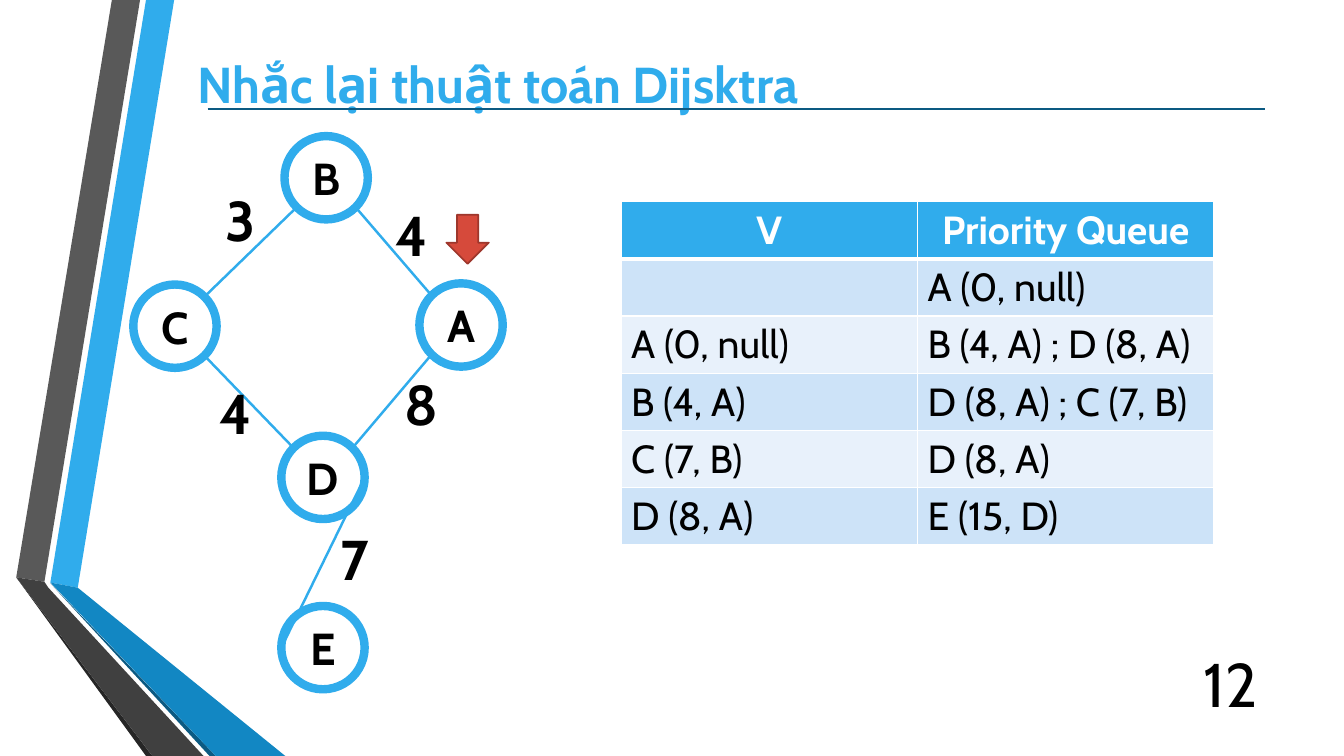
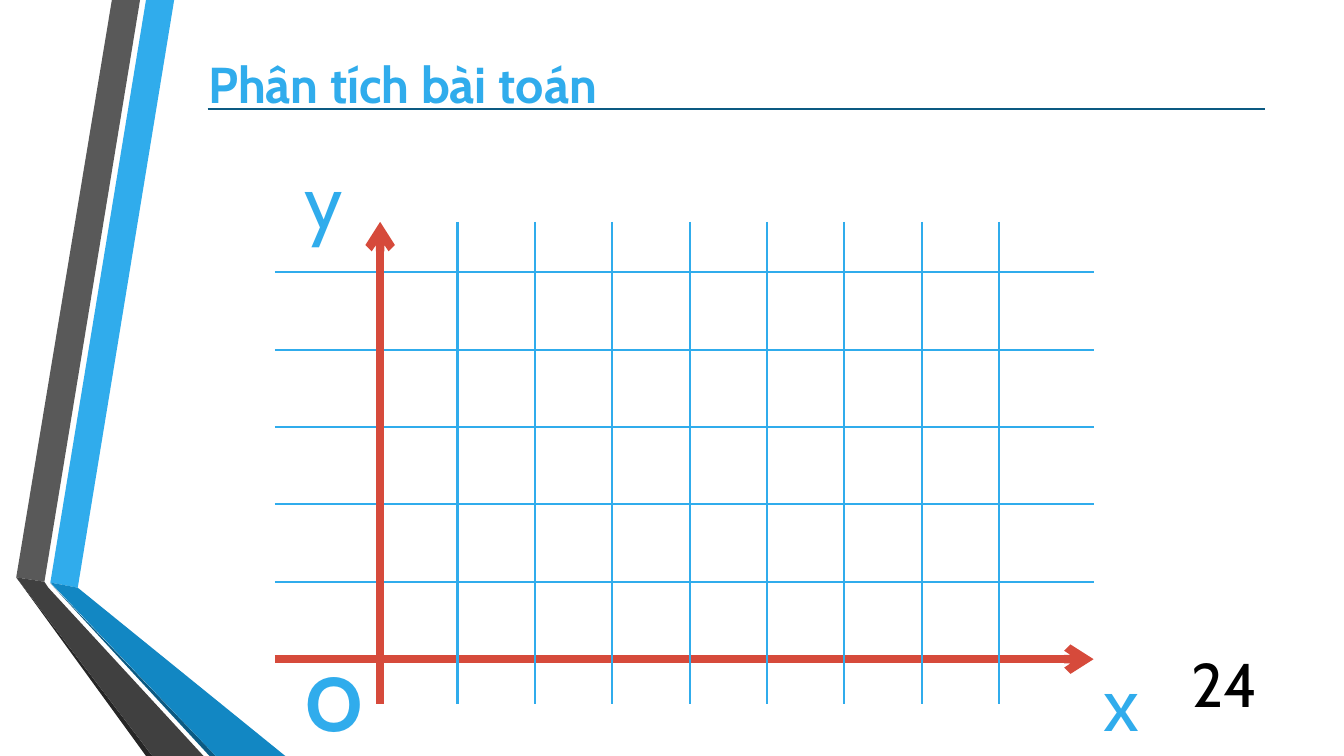
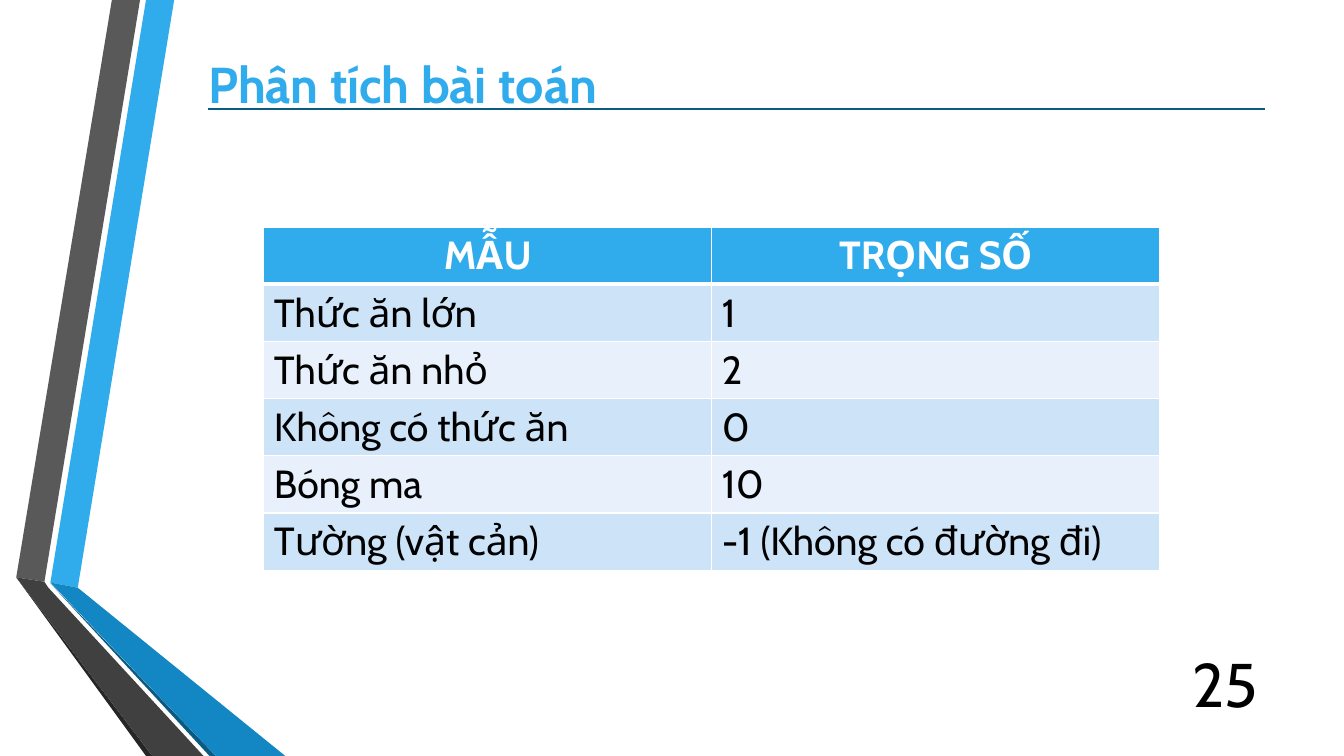
from math import cos, radians, sin

from lxml.etree import SubElement
from pptx import Presentation
from pptx.dml.color import RGBColor
from pptx.enum.shapes import MSO_CONNECTOR, MSO_SHAPE
from pptx.enum.text import MSO_ANCHOR, PP_ALIGN
from pptx.oxml.ns import qn
from pptx.util import Cm, Pt

FONT = "Cabin"
BLUE, NAVY, RED, DARK_RED = "30ACEC", "0C5A82", "D64A3B", "9E372C"
WHITE, BLACK = "FFFFFF", "000000"
ROW_FILLS = ("CDE3F8", "E8F1FB")

# All lengths below are in centimetres.
SLIDE_WIDTH, SLIDE_HEIGHT = 33.87, 19.05
BANDS = [
    (BLUE, [(1.27, 14.68), (1.96, 14.81), (4.39, 0), (3.68, 0)]),
    ("595959", [(3.53, 0), (2.82, 0), (0.41, 14.55), (1.12, 14.66)]),
    ("262626", [(0.41, 14.55), (3.68, 19.05), (3.84, 19.05)]),
    (NAVY, [(1.27, 14.7), (5.28, 19.05), (5.44, 19.05)]),
    ("1287C3", [(1.27, 14.68), (5.44, 19.05), (7.19, 19.05), (1.96, 14.81)]),
    ("404040", [(5.13, 19.05), (1.22, 14.81), (1.12, 14.66), (0.41, 14.55), (3.84, 19.05)]),
]

QUEUE_ROWS = [
    ("V", "Priority Queue"),
    ("", "A (0, null)"),
    ("A (0, null)", "B (4, A) ; D (8, A)"),
    ("B (4, A)", "D (8, A) ; C (7, B)"),
    ("C (7, B)", "D (8, A)"),
    ("D (8, A)", "E (15, D)"),
]
WEIGHT_ROWS = [
    ("MẪU", "TRỌNG SỐ"),
    ("Thức ăn lớn", "1"),
    ("Thức ăn nhỏ", "2"),
    ("Không có thức ăn", "0"),
    ("Bóng ma", "10"),
    ("Tường (vật cản)", "-1 (Không có đường đi)"),
]
ROW_HEIGHT = 1.44

NODE_SIZE = 2.1
NODE_CENTRES = {
    "A": (11.62, 8.19),
    "D": (8.14, 12.03),
    "B": (8.22, 4.48),
    "C": (4.41, 8.22),
    "E": (8.14, 16.32),
}
# Start node and angle, end node and angle, weight, weight centre.
# Angles run clockwise from the right-hand side of a node.
EDGES = [
    ("A", 135, "D", 315, "8", (10.63, 10.15)),
    ("A", 225, "B", 45, "4", (10.38, 5.91)),
    ("B", 135, "C", 315, "3", (6.07, 5.52)),
    ("D", 225, "C", 45, "4", (5.94, 10.38)),
    ("D", 0, "E", 180, "7", (8.94, 14.06)),
]

GRID_LEFT, GRID_RIGHT, GRID_TOP, GRID_BOTTOM = 6.93, 27.56, 5.59, 17.73
ORIGIN_X, ORIGIN_Y, GRID_STEP = 9.58, 16.61, 1.95
GRID_COLUMNS, GRID_ROWS = 8, 5
AXIS_LABELS = [("O", (8.43, 17.67), True), ("y", (8.15, 5.02), False), ("x", (28.26, 17.67), False)]


def color(hex_string):
    return RGBColor.from_string(hex_string)


def set_text(frame, text, size, hex_color, bold=False, align=PP_ALIGN.LEFT):
    paragraph = frame.paragraphs[0]
    paragraph.text = text
    paragraph.alignment = align
    font = paragraph.font
    font.name, font.size, font.bold = FONT, Pt(size), bold
    font.color.rgb = color(hex_color)


def add_text(slide, box, text, size, hex_color, bold=False, align=PP_ALIGN.CENTER):
    shape = slide.shapes.add_textbox(*map(Cm, box))
    frame = shape.text_frame
    frame.word_wrap = True
    frame.vertical_anchor = MSO_ANCHOR.MIDDLE
    set_text(frame, text, size, hex_color, bold, align)


def add_label(slide, centre, text, size, hex_color, bold):
    width, height = 2, 2.5
    box = (centre[0] - width / 2, centre[1] - height / 2, width, height)
    add_text(slide, box, text, size, hex_color, bold)


def add_line(slide, start, end, hex_color, width, arrow=False):
    line = slide.shapes.add_connector(MSO_CONNECTOR.STRAIGHT, *map(Cm, (*start, *end)))
    line.line.color.rgb = color(hex_color)
    line.line.width = Pt(width)
    properties = line._element.spPr
    if arrow:
        SubElement(properties.find(qn("a:ln")), qn("a:tailEnd"), type="arrow")
    SubElement(properties, qn("a:effectLst"))


def style_shape(shape, fill, line=None, width=0):
    shape.shadow.inherit = False
    shape.fill.solid()
    shape.fill.fore_color.rgb = color(fill)
    if line:
        shape.line.color.rgb = color(line)
        shape.line.width = Pt(width)
    else:
        shape.line.fill.background()


def add_bands(slide):
    for fill, points in BANDS:
        start, *rest = [(Cm(x), Cm(y)) for x, y in points]
        builder = slide.shapes.build_freeform(*start)
        builder.add_line_segments(rest, close=True)
        style_shape(builder.convert_to_shape(), fill)


def add_base_slide(presentation, title, number, title_left):
    slide = presentation.slides.add_slide(presentation.slide_layouts[6])
    add_bands(slide)
    add_text(slide, (title_left, 1.02, 27.2, 2.16), title, 36, BLUE, True, PP_ALIGN.LEFT)
    add_text(slide, (28.25, 16.71, 3.7, 1.02), number, 44, BLACK, align=PP_ALIGN.RIGHT)
    add_line(slide, (5.23, 2.74), (31.88, 2.74), NAVY, 1.5)
    return slide


def set_borders(cell, top, bottom):
    """Draw white borders; top and bottom are widths in points."""
    properties = cell._tc.get_or_add_tcPr()
    for side, width in (("L", 1), ("R", 1), ("T", top), ("B", bottom)):
        line = SubElement(properties, qn(f"a:ln{side}"), w=str(Pt(width)))
        SubElement(SubElement(line, qn("a:solidFill")), qn("a:srgbClr"), val=WHITE)


def add_table(slide, rows, left, top, width):
    frame = slide.shapes.add_table(
        len(rows), len(rows[0]), Cm(left), Cm(top), Cm(width), Cm(ROW_HEIGHT * len(rows)))
    table = frame.table
    table.first_row = table.horz_banding = False
    for row, texts in enumerate(rows):
        header = row == 0
        for column, text in enumerate(texts):
            cell = table.cell(row, column)
            set_borders(cell, top=3 if row == 1 else 1, bottom=3 if header else 1)
            cell.fill.solid()
            cell.fill.fore_color.rgb = color(BLUE if header else ROW_FILLS[(row - 1) % 2])
            set_text(cell.text_frame, text, 28, WHITE if header else BLACK, header,
                     PP_ALIGN.CENTER if header else PP_ALIGN.LEFT)


def rim_point(node, angle):
    x, y = NODE_CENTRES[node]
    radius = NODE_SIZE / 2
    return x + radius * cos(radians(angle)), y + radius * sin(radians(angle))


def add_graph(slide):
    for name, (x, y) in NODE_CENTRES.items():
        box = (x - NODE_SIZE / 2, y - NODE_SIZE / 2, NODE_SIZE, NODE_SIZE)
        node = slide.shapes.add_shape(MSO_SHAPE.OVAL, *map(Cm, box))
        style_shape(node, WHITE, BLUE, 6)
        frame = node.text_frame
        frame.margin_left = frame.margin_right = frame.margin_top = frame.margin_bottom = 0
        frame.vertical_anchor = MSO_ANCHOR.MIDDLE
        set_text(frame, name, 32, BLACK, True, PP_ALIGN.CENTER)
    for start, start_angle, end, end_angle, weight, centre in EDGES:
        add_line(slide, rim_point(start, start_angle), rim_point(end, end_angle), BLUE, 1.75)
        add_label(slide, centre, weight, 40, BLACK, True)
    marker = slide.shapes.add_shape(MSO_SHAPE.DOWN_ARROW, *map(Cm, (11.25, 5.41, 1.07, 1.24)))
    style_shape(marker, RED, DARK_RED, 1.25)


def add_coordinate_grid(slide):
    for row in range(GRID_ROWS, 0, -1):
        y = ORIGIN_Y - row * GRID_STEP
        add_line(slide, (GRID_LEFT, y), (GRID_RIGHT, y), BLUE, 1.5)
    add_line(slide, (GRID_LEFT, ORIGIN_Y), (GRID_RIGHT, ORIGIN_Y), RED, 6, arrow=True)
    for column in range(1, GRID_COLUMNS + 1):
        x = ORIGIN_X + column * GRID_STEP
        add_line(slide, (x, GRID_TOP), (x, GRID_BOTTOM), BLUE, 1.5)
    add_line(slide, (ORIGIN_X, GRID_BOTTOM), (ORIGIN_X, GRID_TOP), RED, 6, arrow=True)
    for text, centre, bold in AXIS_LABELS:
        add_label(slide, centre, text, 54, BLUE, bold)


def main():
    presentation = Presentation()
    presentation.slide_width, presentation.slide_height = Cm(SLIDE_WIDTH), Cm(SLIDE_HEIGHT)

    slide = add_base_slide(presentation, "Nhắc lại thuật toán Dijsktra", "12", 4.72)
    add_table(slide, QUEUE_ROWS, 15.65, 5.08, 14.94)
    add_graph(slide)

    slide = add_base_slide(presentation, "Phân tích bài toán", "24", 5)
    add_coordinate_grid(slide)

    slide = add_base_slide(presentation, "Phân tích bài toán", "25", 5)
    add_table(slide, WEIGHT_ROWS, 6.65, 5.72, 22.58)

    presentation.save("out.pptx")


if __name__ == "__main__":
    main()
